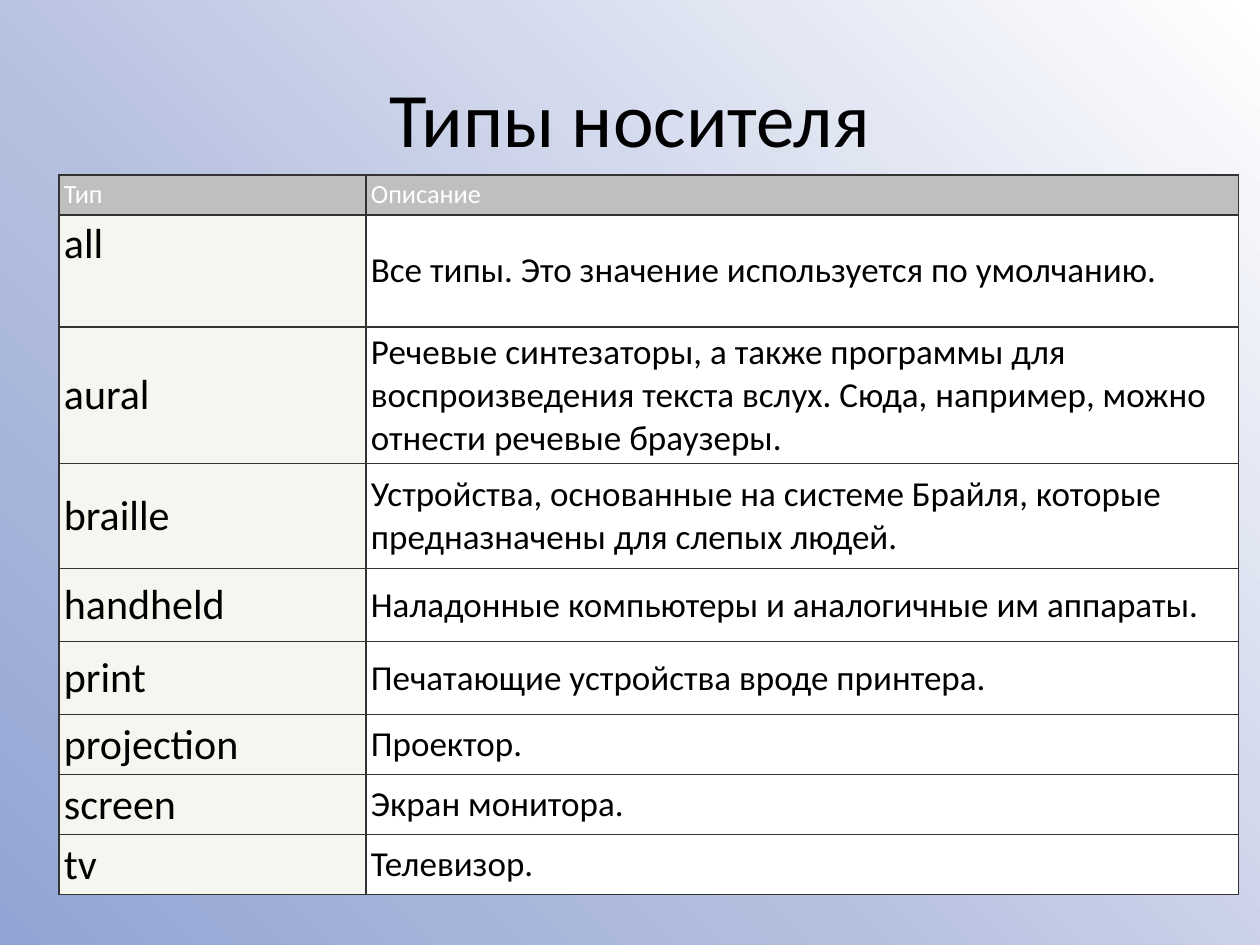
from pptx import Presentation
from pptx.dml.color import RGBColor
from pptx.enum.text import MSO_ANCHOR, PP_ALIGN
from pptx.oxml import parse_xml
from pptx.util import Pt

EMU_PER_PX = 914400 // 126
TOP, MIDDLE = MSO_ANCHOR.TOP, MSO_ANCHOR.MIDDLE
CENTER = PP_ALIGN.CENTER
FONT = "Calibri"

BLACK = RGBColor(0x00, 0x00, 0x00)
WHITE = RGBColor(0xFF, 0xFF, 0xFF)
HEADER_GRAY = RGBColor(0xBF, 0xBF, 0xBF)
TYPE_FILL = RGBColor(0xF6, 0xF6, 0xF0)
BORDER = RGBColor(0x33, 0x33, 0x33)
BACKDROP = (
    (0, WHITE),
    (61, RGBColor(0xB5, 0xC0, 0xE0)),
    (100, RGBColor(0x91, 0xA4, 0xD3)),
)

A_NS = "http://schemas.openxmlformats.org/drawingml/2006/main"

HEADINGS = ("Тип", "Описание")
HEADING_HEIGHT = 40
# Media type, description, row height in px
MEDIA_TYPES = (
    ("all", "Все типы. Это значение используется по умолчанию.", 112),
    ("aural", "Речевые синтезаторы, а также программы для воспроизведения "
     "текста вслух. Сюда, например, можно отнести речевые браузеры.", 137),
    ("braille", "Устройства, основанные на системе Брайля, которые "
     "предназначены для слепых людей.", 105),
    ("handheld", "Наладонные компьютеры и аналогичные им аппараты.", 73),
    ("print", "Печатающие устройства вроде принтера.", 73),
    ("projection", "Проектор.", 60),
    ("screen", "Экран монитора.", 60),
    ("tv", "Телевизор.", 60),
)
COLUMN_WIDTHS = (307, 873)


def px(count):
    return count * EMU_PER_PX


def add_run(paragraph, text, size, color):
    run = paragraph.add_run()
    run.text = text
    run.font.name = FONT
    run.font.size = Pt(size)
    run.font.color.rgb = color


def paint_background(slide):
    """Radial gradient spreading from the top right corner."""
    slide.background.fill.gradient()
    gradient = slide.element.find(f".//{{{A_NS}}}gradFill")
    stops = "".join(
        f'<a:gs pos="{percent * 1000}"><a:srgbClr val="{color}"/></a:gs>'
        for percent, color in BACKDROP)
    gradient.getparent().replace(gradient, parse_xml(
        f'<a:gradFill xmlns:a="{A_NS}" rotWithShape="1">'
        f'<a:gsLst>{stops}</a:gsLst><a:path path="circle">'
        '<a:fillToRect l="100000" b="100000"/></a:path></a:gradFill>'))


def add_title(slide, text):
    title = slide.shapes.add_textbox(px(63), px(38), px(1134), px(158))
    frame = title.text_frame
    frame.word_wrap = True
    frame.vertical_anchor = MIDDLE
    frame.paragraphs[0].alignment = CENTER
    add_run(frame.paragraphs[0], text, 44, BLACK)


def add_borders(cell):
    properties = cell._tc.get_or_add_tcPr()
    for index, side in enumerate(("lnL", "lnR", "lnT", "lnB")):
        properties.insert(index, parse_xml(
            f'<a:{side} xmlns:a="{A_NS}" w="{Pt(0.75)}"><a:solidFill>'
            f'<a:srgbClr val="{BORDER}"/></a:solidFill></a:{side}>'))


def fill_cell(cell, text, size, color, fill, anchor=MIDDLE):
    cell.margin_left = cell.margin_right = px(5)
    cell.margin_top = cell.margin_bottom = px(4)
    cell.vertical_anchor = anchor
    cell.fill.solid()
    cell.fill.fore_color.rgb = fill
    add_run(cell.text_frame.paragraphs[0], text, size, color)
    add_borders(cell)


def add_media_table(slide):
    heights = [HEADING_HEIGHT] + [height for _, _, height in MEDIA_TYPES]
    table = slide.shapes.add_table(
        len(heights), len(COLUMN_WIDTHS), px(59), px(175),
        px(sum(COLUMN_WIDTHS)), px(sum(heights))).table
    table.first_row = table.horz_banding = False
    for column, width in zip(table.columns, COLUMN_WIDTHS):
        column.width = px(width)
    for row, height in zip(table.rows, heights):
        row.height = px(height)

    for column, heading in enumerate(HEADINGS):
        fill_cell(table.cell(0, column), heading, 15, WHITE, HEADER_GRAY)
    for row, (media, description, _) in enumerate(MEDIA_TYPES, start=1):
        # The first type sits at the top of its tall row
        anchor = TOP if row == 1 else MIDDLE
        fill_cell(table.cell(row, 0), media, 24, BLACK, TYPE_FILL, anchor)
        fill_cell(table.cell(row, 1), description, 20, BLACK, WHITE)


def main():
    deck = Presentation()
    deck.slide_width, deck.slide_height = px(1260), px(945)
    slide = deck.slides.add_slide(deck.slide_layouts[6])
    paint_background(slide)
    add_title(slide, "Типы носителя")
    add_media_table(slide)
    deck.save("out.pptx")


if __name__ == "__main__":
    main()
